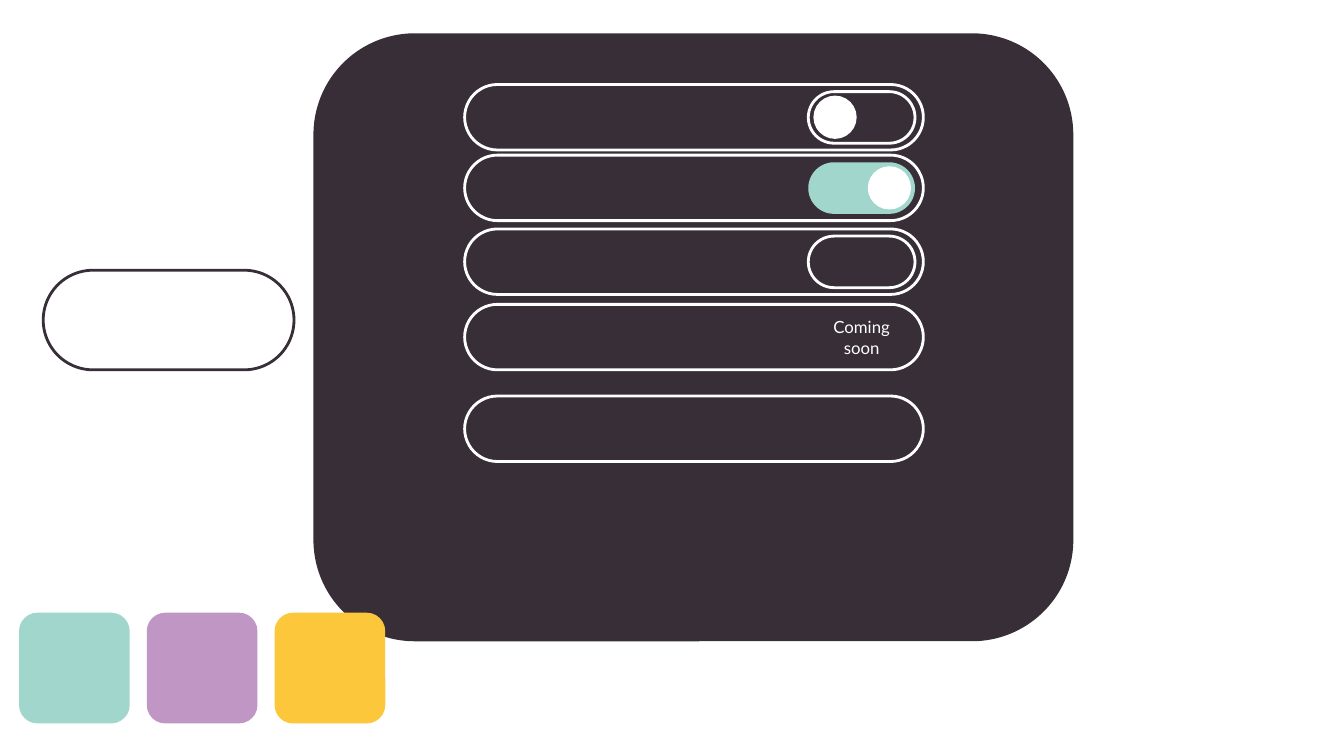
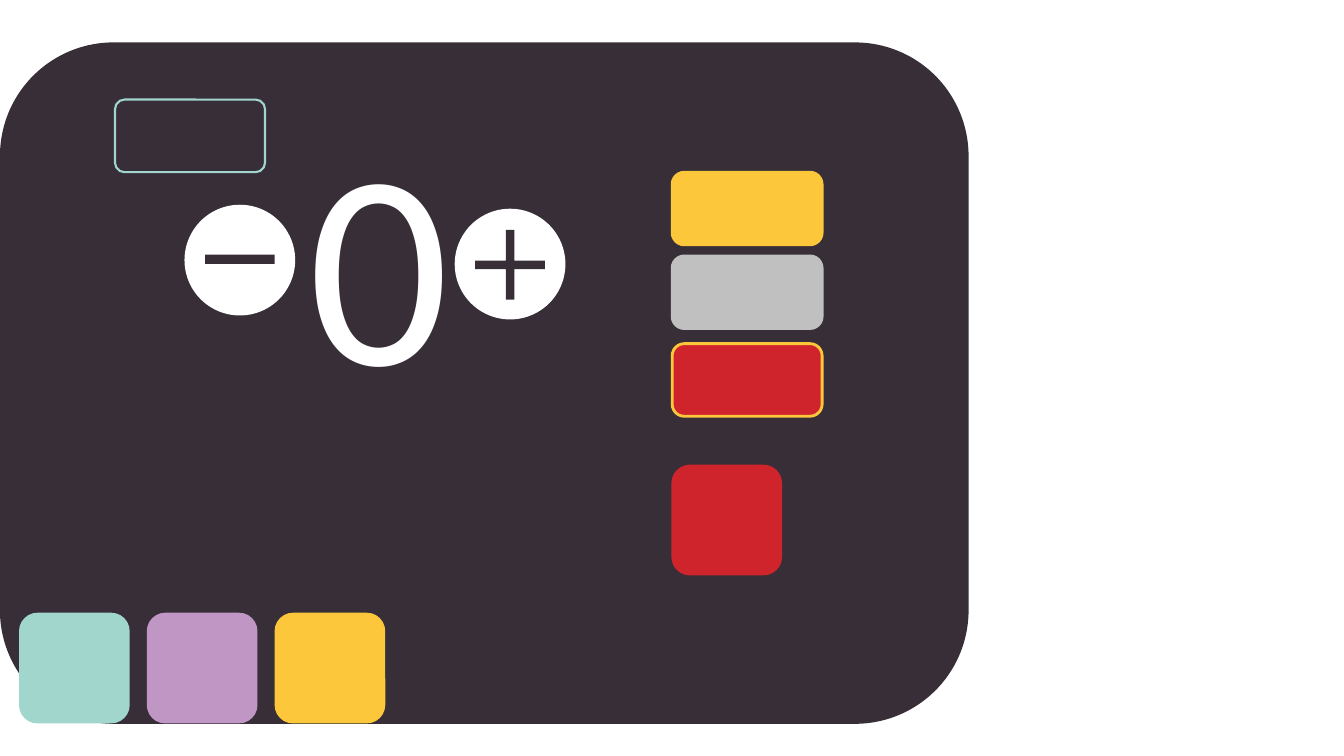
from pptx import Presentation
from pptx.dml.color import RGBColor
from pptx.enum.shapes import MSO_SHAPE
from pptx.enum.text import MSO_ANCHOR, MSO_AUTO_SIZE, PP_ALIGN
from pptx.util import Cm, Pt

ROUNDED = MSO_SHAPE.ROUNDED_RECTANGLE
CIRCLE = MSO_SHAPE.OVAL
BAR = MSO_SHAPE.RECTANGLE
PLUS = MSO_SHAPE.MATH_PLUS
MIDDLE = MSO_ANCHOR.MIDDLE
GROW = MSO_AUTO_SIZE.SHAPE_TO_FIT_TEXT
CENTER = PP_ALIGN.CENTER

COLORS = {
    "dark": "372E38",
    "white": "FFFFFF",
    "teal": "A1D6CD",
    "purple": "C096C4",
    "yellow": "FCC73A",
    "grey": "C0C0C0",
    "red": "CF242B",
}
TILE = 2.79
TOGGLE = (2.69, 1.3)
BUTTON = (3.78, 1.83)


def rgb(name):
    return RGBColor.from_string(COLORS[name])


class Board:
    def __init__(self):
        self.deck = Presentation()
        self.deck.slide_width = Cm(33.87)
        self.deck.slide_height = Cm(19.05)
        self.slide = None

    def new_slide(self):
        self.slide = self.deck.slides.add_slide(self.deck.slide_layouts[6])

    def shape(self, kind, left, top, width, height, fill=None, line=None,
              weight=2, round_by=None, group=None):
        parent = group or self.slide
        item = parent.shapes.add_shape(kind, Cm(left), Cm(top), Cm(width), Cm(height))
        item.shadow.inherit = False
        if round_by is not None:
            item.adjustments[0] = round_by
        if fill:
            item.fill.solid()
            item.fill.fore_color.rgb = rgb(fill)
        else:
            item.fill.background()
        if line:
            item.line.color.rgb = rgb(line)
            item.line.width = Pt(weight)
        else:
            item.line.fill.background()
        return item

    def set_text(self, frame, words, font, size, align=None):
        frame.word_wrap = True
        paragraph = frame.paragraphs[0]
        paragraph.text = words
        paragraph.alignment = align
        paragraph.font.name = font
        paragraph.font.size = Pt(size)
        paragraph.font.color.rgb = rgb("white")

    def panel(self, left, top, width, height):
        self.shape(ROUNDED, left, top, width, height, "dark")

    def pill(self, left, top, width, height, fill=None, line=None):
        return self.shape(ROUNDED, left, top, width, height, fill, line, round_by=0.5)

    def tile(self, left, top, fill):
        self.shape(ROUNDED, left, top, TILE, TILE, fill)

    def swatches(self):
        for index, color in enumerate(("teal", "purple", "yellow")):
            self.tile(0.48 + 3.22 * index, 15.44, color)

    def setting_row(self, top, fill=None, line=None, knob=None, label=None):
        self.pill(11.71, top, 11.56, 1.65, line="white")
        toggle_left, toggle_top = 20.37, top + 0.18
        if fill or line or label:
            toggle = self.pill(toggle_left, toggle_top, *TOGGLE, fill, line)
            if label:
                toggle.text_frame.vertical_anchor = MIDDLE
                self.set_text(toggle.text_frame, label, "Lato", 12, CENTER)
        if knob is not None:
            self.shape(CIRCLE, toggle_left + knob, toggle_top + 0.1, 1.09, 1.09, "white")

    def button(self, top, fill, line):
        self.shape(ROUNDED, 16.94, top, *BUTTON, fill, line)

    def round_key(self, left, top, sign, dx, dy, width, height, thickness=None):
        group = self.slide.shapes.add_group_shape()
        self.shape(CIRCLE, left, top, TILE, TILE, "white", group=group)
        self.shape(sign, left + dx, top + dy, width, height, "dark",
                   round_by=thickness, group=group)

    def counter(self, value):
        box = self.slide.shapes.add_textbox(Cm(7.52), Cm(2.06), Cm(3.78), Cm(8.76))
        self.set_text(box.text_frame, value, "Calibri", 199)
        box.text_frame.auto_size = GROW


def settings_slide(board):
    board.new_slide()
    board.panel(7.9, 0.84, 19.15, 15.32)
    board.setting_row(2.13, line="white", knob=0.13)
    board.setting_row(3.91, fill="teal", knob=1.5)
    board.setting_row(5.77, line="white")
    board.setting_row(7.67, label="Coming soon")
    board.setting_row(9.98)
    board.swatches()
    board.pill(1.09, 6.81, 6.32, 2.51, line="dark")


def counter_slide(board):
    board.new_slide()
    board.panel(0, 1.07, 24.41, 17.17)
    board.shape(ROUNDED, 2.9, 2.51, *BUTTON, line="teal", weight=1.5, round_by=0.13)
    board.swatches()
    board.button(4.34, "yellow", "yellow")
    board.button(6.45, "grey", "grey")
    board.button(8.66, "red", "yellow")
    board.tile(16.92, 11.71, "red")
    board.counter("0")
    board.round_key(4.65, 5.16, BAR, 0.52, 1.26, 1.75, 0.23)
    board.round_key(11.46, 5.26, PLUS, 0.2, 0.22, 2.39, 2.39, 0.09)


def main():
    board = Board()
    settings_slide(board)
    counter_slide(board)
    board.deck.save("out.pptx")


if __name__ == "__main__":
    main()
